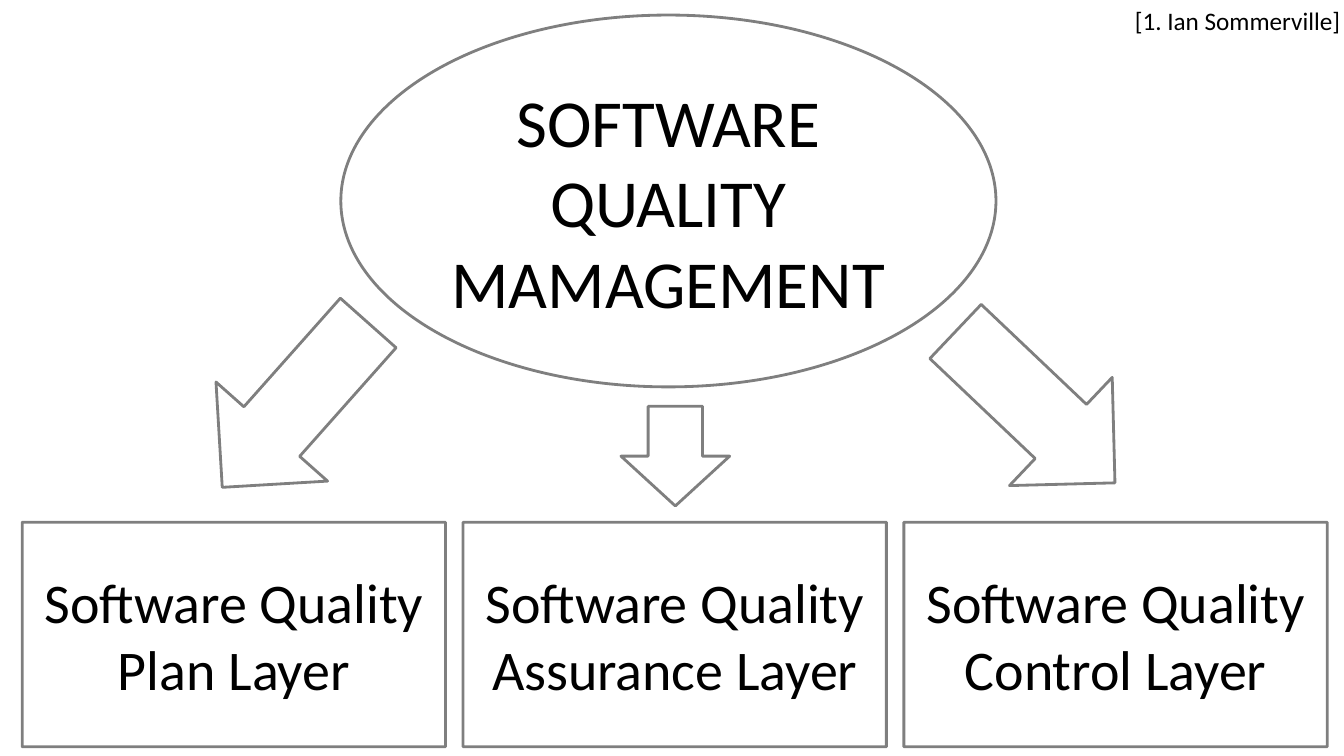
"""Build a slide showing software quality management and its three layers."""
from dataclasses import dataclass

from lxml import etree
from pptx import Presentation
from pptx.dml.color import RGBColor
from pptx.enum.shapes import MSO_SHAPE
from pptx.enum.text import MSO_ANCHOR, MSO_AUTO_SIZE, PP_ALIGN
from pptx.oxml.ns import qn
from pptx.slide import Slide
from pptx.text.text import TextFrame
from pptx.util import Cm, Pt

ELLIPSE = MSO_SHAPE.OVAL
RECTANGLE = MSO_SHAPE.RECTANGLE
DOWN_ARROW = MSO_SHAPE.DOWN_ARROW
MIDDLE = MSO_ANCHOR.MIDDLE
FIT_SHAPE = MSO_AUTO_SIZE.SHAPE_TO_FIT_TEXT
CENTER = PP_ALIGN.CENTER
LEFT = PP_ALIGN.LEFT

COLORS = {"fill": "FFFFFF", "line": "000000", "text": "000000"}
OPACITY = {"fill": 65, "line": 50}
FONT = "Calibri"
BLANK_LAYOUT = 6
LAYERS = ("Plan", "Assurance", "Control")
LAYER_LEFT = 0.56
LAYER_PITCH = 11.11


@dataclass(frozen=True)
class Figure:
    kind: MSO_SHAPE
    left: float
    top: float
    width: float
    height: float
    text: str = ""
    size: int = 40
    rotation: float = 0


FIGURES = (
    Figure(ELLIPSE, 8.59, 0.38, 16.51, 9.37, "SOFTWARE QUALITY MAMAGEMENT", 48),
    *(
        Figure(RECTANGLE, LAYER_LEFT + index * LAYER_PITCH, 13.16, 10.67, 5.66,
               f"Software Quality {layer} Layer")
        for index, layer in enumerate(LAYERS)
    ),
    Figure(DOWN_ARROW, 5.56, 7.44, 3.76, 5.54, rotation=41.6),
    Figure(DOWN_ARROW, 24.21, 7.49, 3.76, 5.54, rotation=313.5),
    Figure(DOWN_ARROW, 15.65, 10.24, 2.74, 2.51),
)


def write_text(frame: TextFrame, text: str, size: int, alignment: PP_ALIGN) -> None:
    para = frame.paragraphs[0]
    para.alignment = alignment
    span = para.add_run()
    span.text = text
    span.font.name = FONT
    span.font.size = Pt(size)
    span.font.color.rgb = RGBColor.from_string(COLORS["text"])


def draw_figure(slide: Slide, figure: Figure) -> None:
    box = slide.shapes.add_shape(
        figure.kind, Cm(figure.left), Cm(figure.top), Cm(figure.width), Cm(figure.height)
    )
    box.rotation = figure.rotation
    box.shadow.inherit = False
    box.fill.solid()
    box.fill.fore_color.rgb = RGBColor.from_string(COLORS["fill"])
    box.line.width = Pt(2)
    box.line.color.rgb = RGBColor.from_string(COLORS["line"])
    colors = box.element.spPr.iter(qn("a:srgbClr"))
    for color, part in zip(colors, ("fill", "line")):
        etree.SubElement(color, qn("a:alpha")).set("val", str(OPACITY[part] * 1000))
    if figure.text:
        box.text_frame.word_wrap = True
        box.text_frame.vertical_anchor = MIDDLE
        write_text(box.text_frame, figure.text, figure.size, CENTER)


def draw_citation(slide: Slide) -> None:
    box = slide.shapes.add_textbox(Cm(28.35), Cm(0), Cm(5.79), Cm(1.02))
    box.text_frame.word_wrap = True
    box.text_frame.auto_size = FIT_SHAPE
    write_text(box.text_frame, "[1. Ian Sommerville]", 18, LEFT)


def main() -> None:
    deck = Presentation()
    deck.slide_width = Cm(33.87)
    deck.slide_height = Cm(19.05)
    slide = deck.slides.add_slide(deck.slide_layouts[BLANK_LAYOUT])
    for figure in FIGURES:
        draw_figure(slide, figure)
    draw_citation(slide)
    deck.save("out.pptx")


if __name__ == "__main__":
    main()
